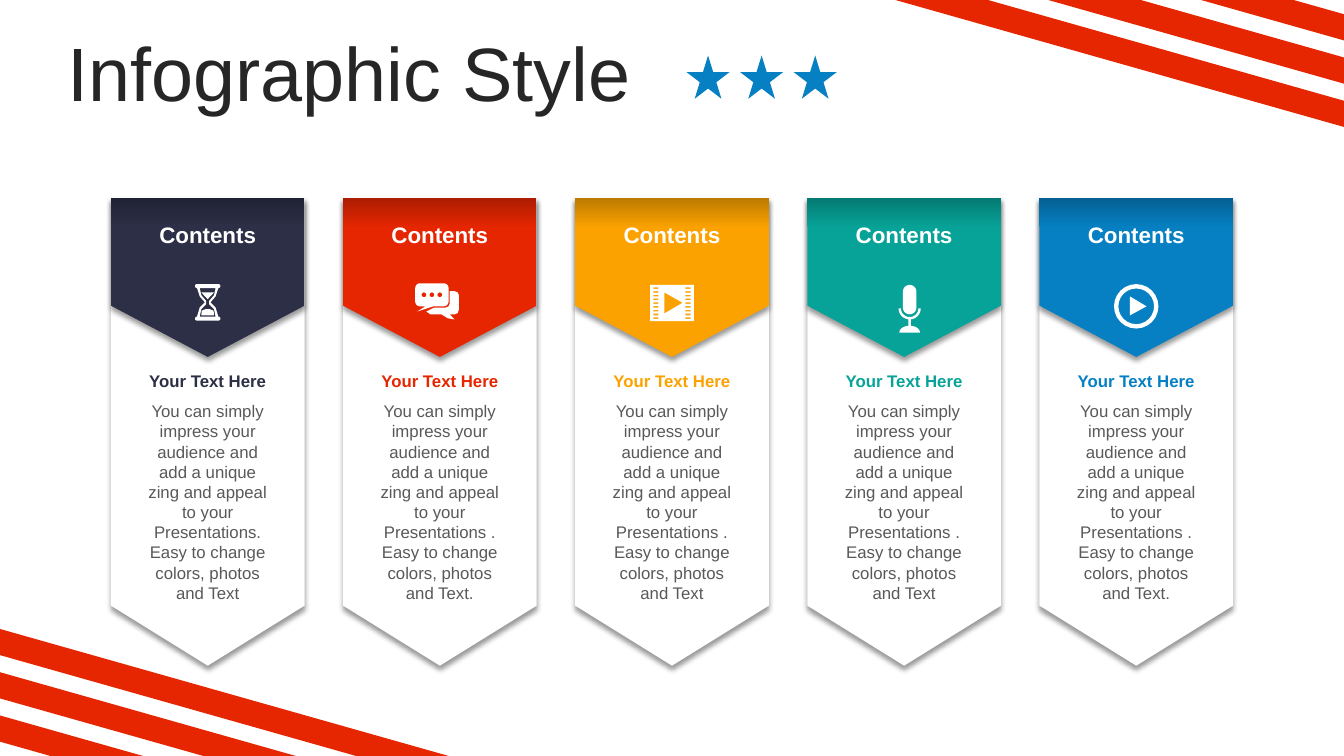
"""Build a five-card infographic slide with banners, icons and corner stripes."""
from dataclasses import dataclass
from math import cos, radians, sin

from lxml.etree import SubElement
from pptx import Presentation
from pptx.dml.color import RGBColor
from pptx.enum.shapes import MSO_SHAPE
from pptx.enum.text import MSO_ANCHOR, MSO_AUTO_SIZE, PP_ALIGN
from pptx.oxml.ns import qn
from pptx.util import Cm, Pt

WIDTH, HEIGHT = 33.87, 19.05
CARD_PITCH, CARD_WIDTH = 5.85, 4.88


@dataclass(frozen=True)
class Theme:
    font: str = "Arial"
    title_size: int = 54
    label_size: int = 16
    body_size: int = 12
    title: str = "262626"
    body: str = "595959"
    white: str = "FFFFFF"
    black: str = "000000"
    stripe: str = "E62601"
    star: str = "0680C3"
    cards: tuple = (
        ("2C2F45", "212334"),
        ("E62601", "AC1D01"),
        ("FBA200", "BC7A00"),
        ("07A398", "057A72"),
        ("0680C3", "056092"),
    )


def arc(x, y, radius_x, radius_y, start=0, end=360, steps=24):
    angles = [radians(start + (end - start) * step / steps) for step in range(steps + 1)]
    return [(x + radius_x * cos(angle), y + radius_y * sin(angle)) for angle in angles]


def rectangle(left, top, right, bottom):
    return [(left, top), (right, top), (right, bottom), (left, bottom)]


def round_box(left, top, right, bottom, radius):
    corners = rectangle(left + radius, top + radius, right - radius, bottom - radius)
    return [
        point
        for index, (x, y) in enumerate(corners)
        for point in arc(x, y, radius, radius, 180 + 90 * index, 270 + 90 * index, 6)
    ]


def mirrored(half):
    return half + [(-x, y) for x, y in reversed(half)]


def hourglass():
    return [
        round_box(-0.32, 7.16, 0.32, 7.26, 0.05),
        round_box(-0.32, 7.98, 0.32, 8.08, 0.05),
        mirrored([(-0.27, 7.26), (-0.2, 7.47), (-0.07, 7.62), (-0.2, 7.75), (-0.27, 7.98)]),
        mirrored([(-0.2, 7.26), (-0.16, 7.44), (-0.04, 7.58),
                  (-0.04, 7.67), (-0.16, 7.79), (-0.2, 7.98)]),
        [(-0.16, 7.37), (0.16, 7.37), (0, 7.54)],
        mirrored([(-0.16, 7.95), (-0.15, 7.83), (-0.05, 7.79)]),
    ]


def chat():
    back_bubble = [
        (0.25, 7.34), (0.38, 7.34), (0.45, 7.37), (0.48, 7.44), (0.48, 7.8), (0.45, 7.89),
        (0.38, 7.92), (0.25, 7.92), (0.37, 8.05), (0.2, 8.02), (0.04, 7.92), (-0.24, 7.92),
        (-0.34, 7.85), (-0.14, 7.75), (0.15, 7.75), (0.22, 7.72), (0.25, 7.65),
    ]
    front_bubble = round_box(-0.62, 7.14, 0.22, 7.72, 0.12)
    tail = [(-0.16, 7.72), (-0.57, 7.85), (-0.36, 7.72)]
    dots = [arc(x, 7.43, 0.06, 0.06) for x in (-0.4, -0.2, 0)]
    return [front_bubble, tail, back_bubble, *dots]


def film():
    rows = [7.24 + 0.095 * row for row in range(9)]
    holes = [rectangle(x, y, x + 0.13, y + 0.04) for y in rows for x in (-0.47, 0.34)]
    play = [(-0.19, 7.37), (0.27, 7.63), (-0.19, 7.9)]
    return [rectangle(-0.55, 7.18, 0.55, 8.09), play, *holes]


def microphone():
    middle = 0.14
    cradle = arc(middle, 7.77, 0.28, 0.28, 0, 180) + arc(middle, 7.77, 0.22, 0.22, 180, 0)
    return [
        round_box(middle - 0.17, 7.18, middle + 0.17, 7.92, 0.17),
        cradle,
        rectangle(middle - 0.03, 8.05, middle + 0.03, 8.21),
        arc(middle, 8.38, 0.26, 0.17, 180, 360),
    ]


def play_button():
    return [
        arc(0, 7.72, 0.56, 0.56),
        arc(0, 7.72, 0.45, 0.45),
        [(-0.16, 7.47), (0.26, 7.72), (-0.16, 7.95)],
    ]


class InfographicPage:
    def __init__(self, deck, theme):
        self.theme = theme
        self.page = deck.slides.add_slide(deck.slide_layouts[5])

    def format_text(self, box, text, size, color, align, bold=False):
        frame = box.text_frame
        frame.word_wrap = True
        frame.text = text
        para = frame.paragraphs[0]
        para.alignment = align
        para.font.name, para.font.size, para.font.bold = self.theme.font, Pt(size), bold
        para.font.color.rgb = RGBColor.from_string(color)
        return frame

    def title(self, text, left, top, width, height):
        box = self.page.shapes.title
        box.left, box.top, box.width, box.height = Cm(left), Cm(top), Cm(width), Cm(height)
        frame = self.format_text(box, text, self.theme.title_size, self.theme.title, PP_ALIGN.LEFT)
        frame.auto_size = MSO_AUTO_SIZE.NONE
        frame.vertical_anchor = MSO_ANCHOR.MIDDLE
        frame.paragraphs[0].line_spacing = 0.9

    def text(self, text, center, top, width, height, size, color, bold=False):
        box = self.page.shapes.add_textbox(
            Cm(center - width / 2), Cm(top), Cm(width), Cm(height))
        frame = self.format_text(box, text, size, color, PP_ALIGN.CENTER, bold)
        frame.auto_size = MSO_AUTO_SIZE.SHAPE_TO_FIT_TEXT

    def paint(self, shape, color):
        shape.fill.solid()
        shape.fill.fore_color.rgb = RGBColor.from_string(color)
        shape.line.fill.background()
        shape.shadow.inherit = False

    def star(self, left, top, size):
        shape = self.page.shapes.add_shape(
            MSO_SHAPE.STAR_5_POINT, Cm(left), Cm(top), Cm(size), Cm(size))
        self.paint(shape, self.theme.star)

    def banner(self, center, middle, length, point, color, dark=None):
        shape = self.page.shapes.add_shape(
            MSO_SHAPE.PENTAGON, Cm(center - length / 2), Cm(middle - CARD_WIDTH / 2),
            Cm(length), Cm(CARD_WIDTH))
        shape.rotation = 90
        shape.adjustments[0] = point
        self.paint(shape, color)
        if dark:
            shape.fill.gradient()
            shape.fill.gradient_angle = 180
            for stop, position, shade in zip(shape.fill.gradient_stops, (0.81, 1), (color, dark)):
                stop.position = position
                stop.color.rgb = RGBColor.from_string(shade)
        effects = shape._element.spPr.find(qn("a:effectLst"))
        shadow = SubElement(effects, qn("a:outerShdw"), blurRad=str(Pt(4)), dist=str(Pt(3)),
                            dir="5400000", algn="t", rotWithShape="0")
        tint = SubElement(shadow, qn("a:srgbClr"), val=self.theme.black)
        SubElement(tint, qn("a:alpha"), val="40000")

    def outline(self, contours, color, shift=0):
        placed = [[(Cm(x + shift), Cm(y)) for x, y in contour] for contour in contours]
        builder = self.page.shapes.build_freeform(*placed[0][0])
        for index, contour in enumerate(placed):
            if index:
                builder.move_to(*contour[0])
            builder.add_line_segments(contour[1:], close=True)
        self.paint(builder.convert_to_shape(), color)

    def stripes(self):
        slope, thickness = 0.283, 0.66
        corner = []
        for y in (15.85, 16.94, 18.03):
            run = (HEIGHT - y) / slope
            corner.append([(0, y), (run, HEIGHT),
                           (run - thickness / slope, HEIGHT), (0, y + thickness)])
        opposite = [[(WIDTH - x, HEIGHT - y) for x, y in stripe] for stripe in corner]
        for group in (corner, opposite):
            self.outline(group, self.theme.stripe)

    def card(self, center, colors, icon, message):
        theme = self.theme
        color, dark = colors
        self.banner(center, 10.87, 11.81, 0.31, theme.white)
        self.banner(center, 6.99, 4.01, 0.322, color, dark)
        self.text("Contents", center, 5.46, 3.05, 0.94, theme.label_size, theme.white, True)
        self.text("Your Text Here", center, 9.22, 3.73, 0.76, theme.body_size, color, True)
        self.text(message, center, 9.98, 3.76, 5.38, theme.body_size, theme.body)
        self.outline(icon(), theme.white, center)


def main():
    deck = Presentation()
    deck.slide_width, deck.slide_height = Cm(WIDTH), Cm(HEIGHT)
    theme = Theme()
    page = InfographicPage(deck, theme)
    page.stripes()
    page.title("Infographic Style", 1.45, 0.94, 30.68, 2.01)
    for index in range(3):
        page.star(17.3 + 1.35 * index, 1.4, 1.09)
    message = ("You can simply impress your audience and add a unique zing and appeal to your "
               "Presentations{} Easy to change colors, photos and Text{}")
    icons = (hourglass, chat, film, microphone, play_button)
    endings = ((".", ""), (" .", "."), (" .", ""), (" .", ""), (" .", "."))
    for index, (colors, icon, ending) in enumerate(zip(theme.cards, icons, endings)):
        center = WIDTH / 2 + CARD_PITCH * (index - 2)
        page.card(center, colors, icon, message.format(*ending))
    deck.save("out.pptx")


if __name__ == "__main__":
    main()
